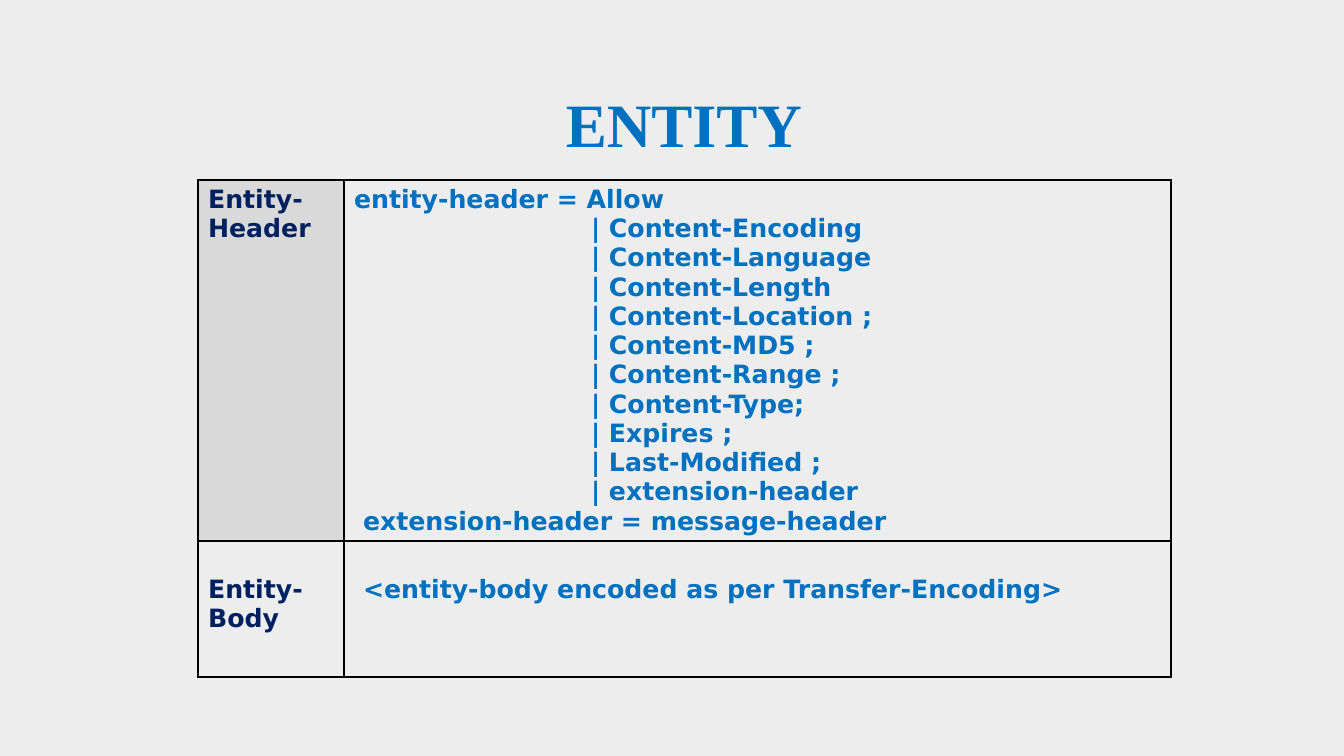
"""Build the slide that describes the parts of an entity."""
import pptx
import pptx.dml.color
import pptx.enum.text
import pptx.oxml
import pptx.oxml.ns
import pptx.util

RGBColor = pptx.dml.color.RGBColor
BACKGROUND = RGBColor(0xED, 0xED, 0xED)
LABEL_FILL = RGBColor(0xD9, 0xD9, 0xD9)
NAVY = RGBColor(0x00, 0x20, 0x60)
BLUE = RGBColor(0x00, 0x70, 0xC0)
BORDER = RGBColor(0x00, 0x00, 0x00)

EMU_PER_PIXEL = 914400 / 100.8
SPACE_WIDTH = 9
FIELD_INDENT = 237
CELL_TOP = 5
LINE_HEIGHT = 29
COLUMN_WIDTHS = (146, 827)
ROW_HEIGHTS = (361, 136)

HEADER_FIELDS = (
    "Content-Encoding", "Content-Language", "Content-Length",
    "Content-Location ;", "Content-MD5 ;", "Content-Range ;",
    "Content-Type;", "Expires ;", "Last-Modified ;", "extension-header",
)
HEADER_LINES = (
    [("entity-header = Allow", 0)]
    + [(f"| {field}", FIELD_INDENT) for field in HEADER_FIELDS]
    + [("extension-header = message-header", SPACE_WIDTH)]
)
BODY_LINES = [("<entity-body encoded as per Transfer-Encoding>", SPACE_WIDTH)]


def px(pixels):
    """Turn pixels into EMU."""
    return pptx.util.Emu(round(pixels * EMU_PER_PIXEL))


def style_font(font, name, size, color):
    """Set a bold font with the given name, size and colour."""
    font.name = name
    font.size = pptx.util.Pt(size)
    font.bold = True
    font.color.rgb = color


def add_title(page, text):
    """Add the slide title."""
    box = page.shapes.add_textbox(px(556), px(81), px(358), px(85))
    frame = box.text_frame
    frame.word_wrap = True
    frame.auto_size = pptx.enum.text.MSO_AUTO_SIZE.SHAPE_TO_FIT_TEXT
    para = frame.paragraphs[0]
    para.text = text
    style_font(para.font, "Times New Roman", 44, BLUE)


def add_borders(cell):
    """Draw a thin line on each side of a cell."""
    properties = cell._tc.get_or_add_tcPr()
    for position, side in enumerate("LRTB"):
        line = pptx.oxml.parse_xml(
            f'<a:ln{side} {pptx.oxml.ns.nsdecls("a")} w="12700"><a:solidFill>'
            f'<a:srgbClr val="{BORDER}"/></a:solidFill></a:ln{side}>'
        )
        properties.insert(position, line)


def fill_cell(cell, lines, color, fill=None, top=CELL_TOP):
    """Write indented lines into a cell and set its look."""
    cell.margin_top = px(top)
    if fill is None:
        cell.fill.background()
    else:
        cell.fill.solid()
        cell.fill.fore_color.rgb = fill
    add_borders(cell)
    frame = cell.text_frame
    for number, (text, indent) in enumerate(lines):
        para = frame.add_paragraph() if number else frame.paragraphs[0]
        para.text = text
        style_font(para.font, "DejaVu Sans", 18, color)
        properties = para._p.get_or_add_pPr()
        properties.set("marL", str(px(indent)))
        properties.set("indent", "0")


def add_entity_table(page):
    """Add the table of entity parts and their definitions."""
    table = page.shapes.add_table(
        len(ROW_HEIGHTS), len(COLUMN_WIDTHS), px(198), px(180),
        px(sum(COLUMN_WIDTHS)), px(sum(ROW_HEIGHTS)),
    ).table
    table.first_row = False
    table.horz_banding = False
    for column, width in zip(table.columns, COLUMN_WIDTHS):
        column.width = px(width)
    for row, height in zip(table.rows, ROW_HEIGHTS):
        row.height = px(height)
    body_top = CELL_TOP + LINE_HEIGHT
    fill_cell(table.cell(0, 0), [("Entity-Header", 0)], NAVY, LABEL_FILL)
    fill_cell(table.cell(0, 1), HEADER_LINES, BLUE)
    fill_cell(table.cell(1, 0), [("Entity-Body", 0)], NAVY, top=body_top)
    fill_cell(table.cell(1, 1), BODY_LINES, BLUE, top=body_top)


def main():
    """Build and save the deck."""
    deck = pptx.Presentation()
    deck.slide_width = px(1344)
    deck.slide_height = px(756)
    page = deck.slides.add_slide(deck.slide_layouts[6])
    page.background.fill.solid()
    page.background.fill.fore_color.rgb = BACKGROUND
    add_entity_table(page)
    add_title(page, "ENTITY")
    deck.save("out.pptx")


main()
